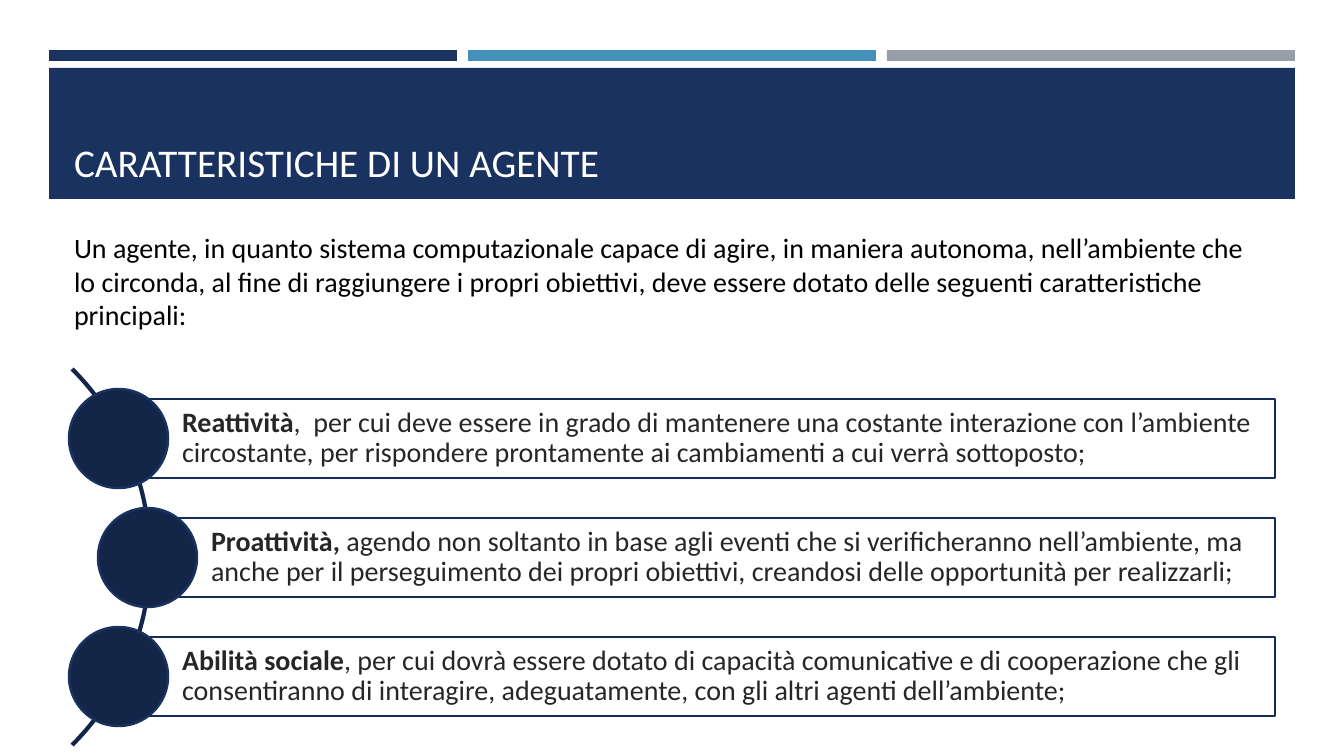
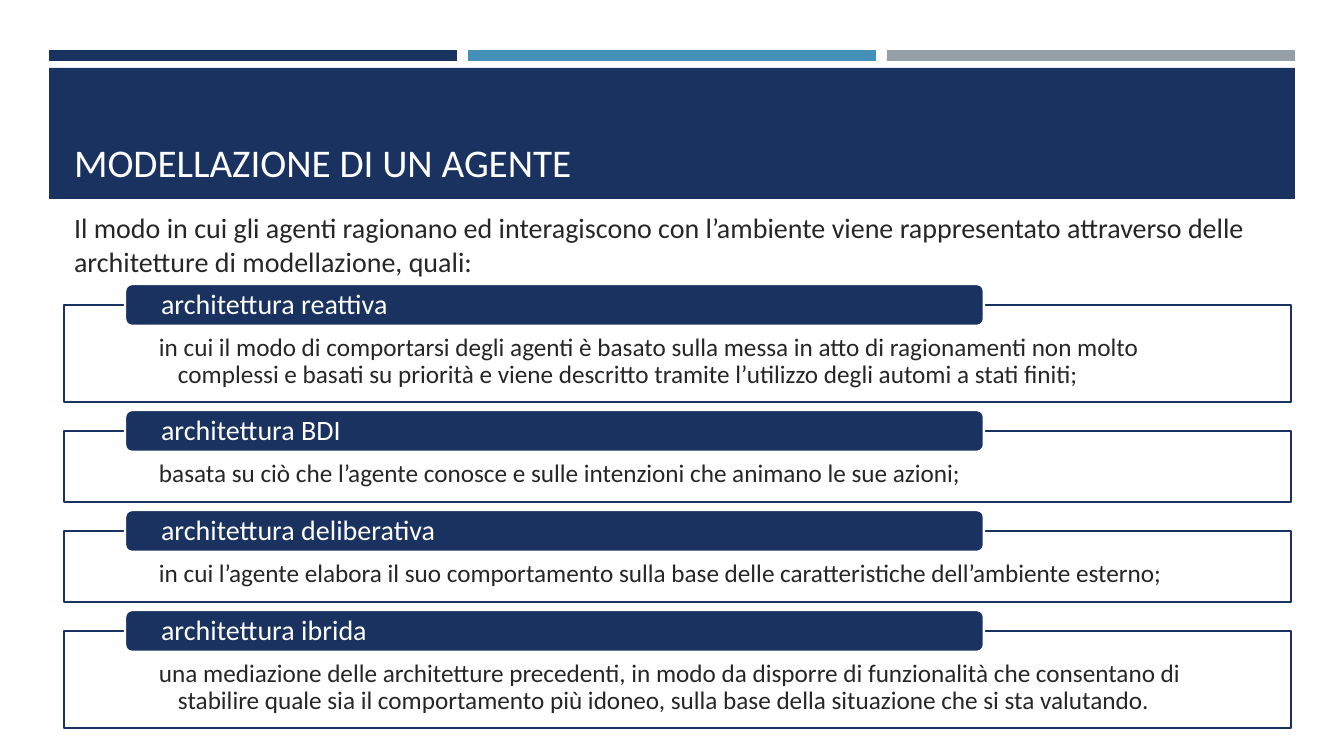
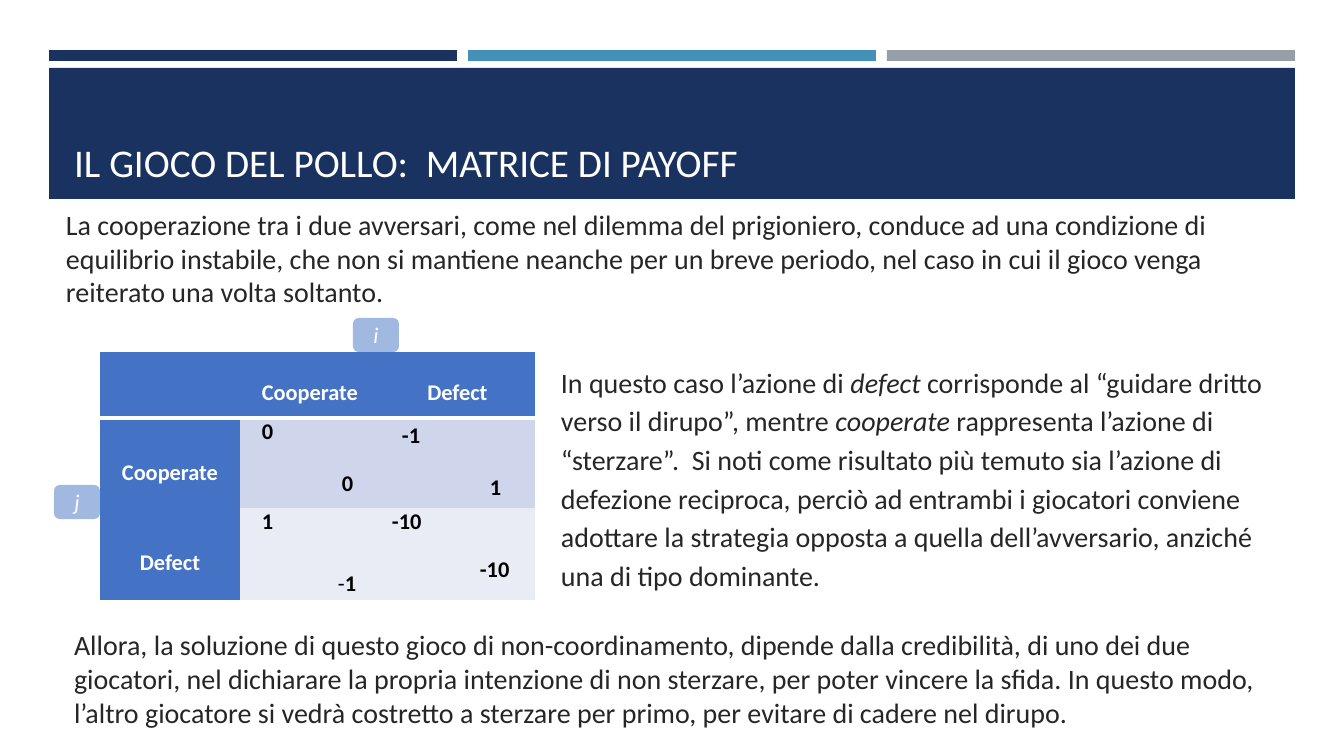
from math import cos, radians, sin

from pptx import Presentation
from pptx.dml.color import RGBColor
from pptx.enum.shapes import MSO_SHAPE
from pptx.enum.text import MSO_ANCHOR, MSO_AUTO_SIZE, PP_ALIGN
from pptx.oxml import parse_xml
from pptx.oxml.ns import nsdecls, qn
from pptx.util import Emu, Pt

PX = 914400 / 100.8
NAVY = RGBColor(0x1A, 0x32, 0x60)
BLUE = RGBColor(0x45, 0x90, 0xB8)
GREY = RGBColor(0x96, 0x9F, 0xA7)
DISC_NAVY = RGBColor(0x13, 0x26, 0x48)
ARC_NAVY = RGBColor(0x12, 0x26, 0x4B)
FRAME_NAVY = RGBColor(0x16, 0x2C, 0x56)
TABLE_BLUE = RGBColor(0x44, 0x72, 0xC4)
ROW_DARK = RGBColor(0xCF, 0xD5, 0xEA)
ROW_LIGHT = RGBColor(0xE9, 0xEB, 0xF5)
INK = RGBColor(0x26, 0x26, 0x26)
BLACK = RGBColor(0, 0, 0)
WHITE = RGBColor(0xFF, 0xFF, 0xFF)
BOLD, ITALIC, PLAIN = {"bold": True}, {"italic": True}, {}
FONT = "Calibri"


def draw(slide, kind, box, fill=None, line=None, anchor=MSO_ANCHOR.MIDDLE, insets=(10, 5, 10, 5)):
    place = [Emu(v * PX) for v in box]
    if kind is None:
        shape = slide.shapes.add_textbox(*place)
    else:
        shape = slide.shapes.add_shape(kind, *place)
        shape.shadow.inherit = False
        shape.fill.solid()
        shape.fill.fore_color.rgb = fill
        if line is None:
            shape.line.fill.background()
        else:
            shape.line.color.rgb = line
            shape.line.width = Pt(1.75)
    left, top, right, bottom = [Emu(v * PX) for v in insets]
    frame_format = {
        "word_wrap": True, "vertical_anchor": anchor,
        "margin_left": left, "margin_top": top, "margin_right": right, "margin_bottom": bottom,
    }
    for name, value in frame_format.items():
        setattr(shape.text_frame, name, value)
    return shape


def write(paragraph, runs, size=20, colour=INK, indent=(0, 0), **look):
    properties = paragraph._p.get_or_add_pPr()
    for name, value in zip(("marL", "indent"), indent):
        properties.set(name, str(Emu(value * PX)))
    for name, value in {"alignment": PP_ALIGN.LEFT, **look}.items():
        setattr(paragraph, name, value)
    for text, style in runs:
        run = paragraph.add_run()
        run.text = text
        run.font.color.rgb = colour
        for name, value in {"name": FONT, "size": Pt(size), **style}.items():
            setattr(run.font, name, value)


presentation = Presentation()
presentation.slide_width = Emu(1344 * PX)
presentation.slide_height = Emu(756 * PX)
layout = presentation.slide_layouts[5]

openings = [
    ("CARATTERISTICHE DI UN AGENTE", (64, 225, 1216, 112), BLACK,
     "Un agente, in quanto sistema computazionale capace di agire, in maniera autonoma, nell’ambiente che lo circonda, al fine di raggiungere i propri obiettivi, deve essere dotato delle seguenti caratteristiche principali:"),
    ("MODELLAZIONE DI UN AGENTE", (64, 204, 1216, 81), INK,
     "Il modo in cui gli agenti ragionano ed interagiscono con l’ambiente viene rappresentato attraverso delle architetture di modellazione, quali:"),
    ("IL GIOCO DEL POLLO:  MATRICE DI PAYOFF", (56, 202, 1232, 112), INK,
     "La cooperazione tra i due avversari, come nel dilemma del prigioniero, conduce ad una condizione di equilibrio instabile, che non si mantiene neanche per un breve periodo, nel caso in cui il gioco venga reiterato una volta soltanto."),
]
slides = []
for heading, intro_box, intro_colour, intro in openings:
    slide = presentation.slides.add_slide(layout)
    slides.append(slide)
    title = slide.shapes.title
    for name, value in {"left": 64, "top": 78, "width": 1216, "height": 112}.items():
        setattr(title, name, Emu(value * PX))
    for name, value in {"vertical_anchor": MSO_ANCHOR.BOTTOM, "auto_size": MSO_AUTO_SIZE.NONE, "word_wrap": True}.items():
        setattr(title.text_frame, name, value)
    write(title.text_frame.paragraphs[0], [(heading, PLAIN)], 28, WHITE)
    intro_text = draw(slide, None, intro_box)
    write(intro_text.text_frame.paragraphs[0], [(intro, PLAIN)], colour=intro_colour)

traits_slide, models_slide, payoff_slide = slides

bands = [((49 + 419 * i, 50, 408, 11), colour) for i, colour in enumerate((NAVY, BLUE, GREY))]
bands.append(((49, 68, 1246, 131), NAVY))
for band_box, band_colour in bands:
    band = draw(traits_slide, MSO_SHAPE.RECTANGLE, band_box, band_colour)
    layout.shapes._spTree.append(band._element)

arc_points = [
    (Emu((-116 + 266 * cos(radians(a))) * PX), Emu((557 + 266 * sin(radians(a))) * PX))
    for a in range(-45, 46)
]
arc_outline = traits_slide.shapes.build_freeform(*arc_points[0])
arc_outline.add_line_segments(arc_points[1:], close=False)
arc = arc_outline.convert_to_shape()
arc.shadow.inherit = False
arc.fill.background()
arc.line.color.rgb = ARC_NAVY
arc.line.width = Pt(3)

traits = [
    (69, "Reattività", ",  per cui deve essere in grado di mantenere una costante interazione con l’ambiente circostante, per rispondere prontamente ai cambiamenti a cui verrà sottoposto;"),
    (98, "Proattività, ", "agendo non soltanto in base agli eventi che si verificheranno nell’ambiente, ma anche per il perseguimento dei propri obiettivi, creandosi delle opportunità per realizzarli;"),
    (69, "Abilità sociale", ", per cui dovrà essere dotato di capacità comunicative e di cooperazione che gli consentiranno di interagire, adeguatamente, con gli altri agenti dell’ambiente;"),
]
for row, (disc_left, trait, meaning) in enumerate(traits):
    disc_top = 389 + 119 * row
    box_left = disc_left + 50
    trait_box = draw(traits_slide, MSO_SHAPE.RECTANGLE, (box_left, disc_top + 10, 1275 - box_left, 79),
                     WHITE, FRAME_NAVY, insets=(63, 6, 6, 6))
    write(trait_box.text_frame.paragraphs[0], [(trait, BOLD), (meaning, PLAIN)],
          line_spacing=0.9, space_after=Pt(8))
    draw(traits_slide, MSO_SHAPE.OVAL, (disc_left, disc_top, 99, 99), DISC_NAVY, NAVY)

models = [
    ("architettura reattiva", 97, "in cui il modo di comportarsi degli agenti è basato sulla messa in atto di ragionamenti non molto complessi e basati su priorità e viene descritto tramite l’utilizzo degli automi a stati finiti;"),
    ("architettura BDI", 71, "basata su ciò che l’agente conosce e sulle intenzioni che animano le sue azioni;"),
    ("architettura deliberativa", 71, "in cui l’agente elabora il suo comportamento sulla base delle caratteristiche dell’ambiente esterno;"),
    ("architettura ibrida", 97, "una mediazione delle architetture precedenti, in modo da disporre di funzionalità che consentano di stabilire quale sia il comportamento più idoneo, sulla base della situazione che si sta valutando."),
]
panel_top = 305
for model, panel_height, meaning in models:
    panel = draw(models_slide, MSO_SHAPE.RECTANGLE, (64, panel_top, 1227, panel_height),
                 WHITE, NAVY, MSO_ANCHOR.TOP, (95, 30, 95, 14))
    write(panel.text_frame.paragraphs[0], [(meaning, PLAIN)], 18, indent=(19, -19),
          line_spacing=0.9, space_after=Pt(3))
    label = draw(models_slide, MSO_SHAPE.ROUNDED_RECTANGLE, (125, panel_top - 21, 859, 42),
                 NAVY, WHITE, insets=(34, 2, 34, 2))
    write(label.text_frame.paragraphs[0], [(model, PLAIN)], colour=WHITE,
          line_spacing=0.9, space_after=Pt(8))
    panel_top += panel_height + 29

comment = draw(payoff_slide, None, (551, 352, 753, 248))
write(comment.text_frame.paragraphs[0], [
    ("In questo caso l’azione di ", PLAIN), ("defect", ITALIC),
    (" corrisponde al “guidare dritto verso il dirupo”, mentre ", PLAIN), ("cooperate", ITALIC),
    (" rappresenta l’azione di “sterzare”.  Si noti come risultato più temuto sia l’azione di defezione reciproca, perciò ad entrambi i giocatori conviene adottare la strategia opposta a quella dell’avversario, anziché una di tipo dominante.", PLAIN),
], line_spacing=1.15, space_after=Pt(10))

conclusion = draw(payoff_slide, None, (64, 623, 1216, 112), anchor=MSO_ANCHOR.TOP)
write(conclusion.text_frame.paragraphs[0], [(
    "Allora, la soluzione di questo gioco di non-coordinamento, dipende dalla credibilità, di uno dei due giocatori, nel dichiarare la propria intenzione di non sterzare, per poter vincere la sfida. In questo modo, l’altro giocatore si vedrà costretto a sterzare per primo, per evitare di cadere nel dirupo.", PLAIN)])

payoffs = payoff_slide.shapes.add_table(3, 3, *[Emu(v * PX) for v in (100, 352, 435, 248)]).table
payoffs.horz_banding = False
payoffs._tbl.tblPr.find(qn("a:tableStyleId")).text = "{2D5ABB26-0587-4C30-8999-92F81FD0307C}"
for column, width in zip(payoffs.columns, (140, 140, 155)):
    column.width = Emu(width * PX)
for row, height in zip(payoffs.rows, (66, 90, 92)):
    row.height = Emu(height * PX)

for r in range(3):
    for c in range(3):
        cell = payoffs.cell(r, c)
        for name, value in {"margin_left": 7, "margin_top": 0, "margin_right": 7, "margin_bottom": 0}.items():
            setattr(cell, name, Emu(value * PX))
        cell.fill.solid()
        cell.fill.fore_color.rgb = TABLE_BLUE if 0 in (r, c) else (ROW_DARK, ROW_LIGHT)[r - 1]
        if r == 0:
            cell._tc.get_or_add_tcPr().insert(0, parse_xml(
                f'<a:lnB {nsdecls("a")} w="38100"><a:solidFill><a:srgbClr val="{WHITE}"/></a:solidFill></a:lnB>'))

moves = [(0, 1, "Cooperate", 2.0), (0, 2, "Defect", 2.0), (1, 0, "Cooperate", 2.5), (2, 0, "Defect", 2.5)]
for r, c, move, spacing in moves:
    write(payoffs.cell(r, c).text_frame.paragraphs[0], [(move, BOLD)], 16, WHITE,
          alignment=PP_ALIGN.CENTER, line_spacing=spacing, space_after=Pt(10))

outcomes = [
    (1, 1, (15, 1.0, [("0", BOLD)]), (95, 1.15, [("0", BOLD)])),
    (1, 2, (15, 1.15, [("-1", BOLD)]), (103, 1.15, [("1", BOLD)])),
    (2, 1, (15, 1.0, [("1", BOLD)]), (91, 1.5, [("-", PLAIN), ("1", BOLD)])),
    (2, 2, (5, 1.0, [("-10", BOLD)]), (93, 1.0, [("-10", BOLD)])),
]
for r, c, first, second in outcomes:
    frame = payoffs.cell(r, c).text_frame
    for paragraph, (shift, spacing, value), gap in (
        (frame.paragraphs[0], first, 0), (frame.add_paragraph(), second, 5),
    ):
        write(paragraph, value, 16, BLACK, (shift, 0), line_spacing=spacing,
              space_before=Pt(gap), space_after=Pt(10))

for player, left, top in (("i", 353, 318), ("j", 54, 485)):
    tag = draw(payoff_slide, MSO_SHAPE.ROUNDED_RECTANGLE, (left, top, 46, 34), TABLE_BLUE)
    tint = tag._element.spPr.find(qn("a:solidFill"))[0]
    tint.append(parse_xml(f'<a:alpha {nsdecls("a")} val="50000"/>'))
    write(tag.text_frame.paragraphs[0], [(player, ITALIC)], 16, WHITE, alignment=PP_ALIGN.CENTER)

presentation.save("out.pptx")
